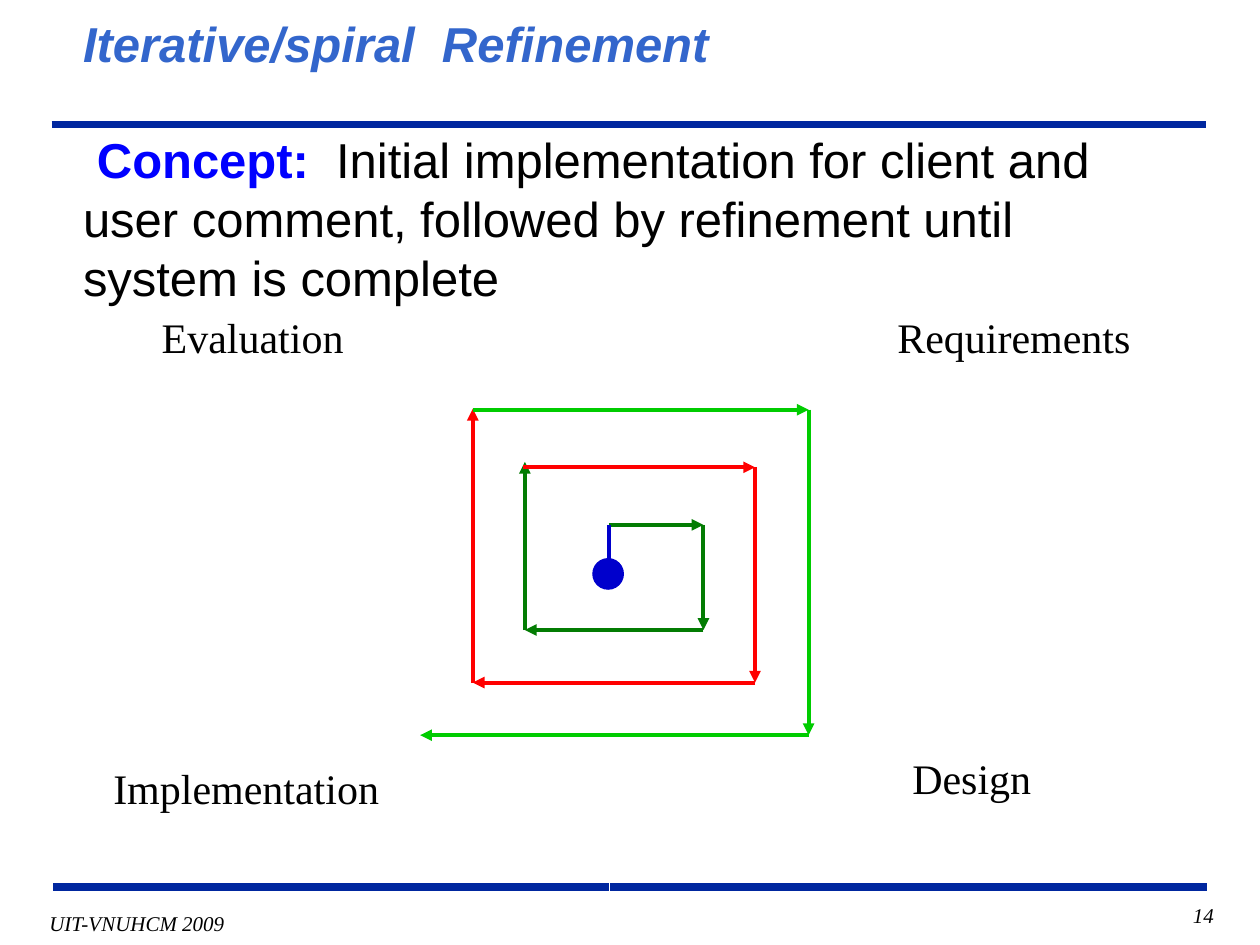
from itertools import pairwise
from typing import NamedTuple

from lxml.etree import SubElement
from pptx import Presentation
from pptx.dml.color import RGBColor
from pptx.enum.shapes import MSO_CONNECTOR, MSO_SHAPE
from pptx.enum.text import MSO_ANCHOR, MSO_AUTO_SIZE, PP_ALIGN
from pptx.oxml.ns import qn
from pptx.util import Cm, Pt

BLACK = RGBColor(0x00, 0x00, 0x00)
WHITE = RGBColor(0xFF, 0xFF, 0xFF)
RULE_BLUE = RGBColor(0x00, 0x27, 0x9F)
TITLE_BLUE = RGBColor(0x33, 0x66, 0xCC)
CONCEPT_BLUE = RGBColor(0x00, 0x00, 0xFF)
START_BLUE = RGBColor(0x00, 0x00, 0xCC)
DARK_GREEN = RGBColor(0x03, 0x7C, 0x03)
RED = RGBColor(0xFF, 0x00, 0x00)
LIGHT_GREEN = RGBColor(0x00, 0xCC, 0x00)

Point = tuple[float, float]


class Label(NamedTuple):
    text: str
    left: float
    top: float
    width: float
    height: float = 1.27
    size: int = 24
    italic: bool = False
    alignment: PP_ALIGN = PP_ALIGN.CENTER


class Turn(NamedTuple):
    """One round of the spiral, drawn as an arrow between each pair of corners."""
    color: RGBColor
    corners: list[Point]


LABELS = [
    Label("Requirements", 17.58, 6.15, 5.72),
    Label("Design", 17.15, 15.04, 4.88),
    Label("Implementation", 1.47, 15.24, 6.99, 2.29),
    Label("Evaluation", 2.34, 6.15, 5.51),
    Label("UIT-VNUHCM 2009", 0.6, 18.24, 4.32, 0.74, 12, True),
    Label("14", 21.54, 18.06, 3.18, 0.84, 12, True, PP_ALIGN.RIGHT),
]

SPIRAL_START = (12.28, 10.58)
TURNS = [
    Turn(DARK_GREEN, [SPIRAL_START, (14.18, 10.58), (14.18, 12.7),
                      (10.58, 12.7), (10.58, 9.31)]),
    Turn(RED, [(10.55, 9.42), (15.22, 9.42), (15.22, 13.76),
               (9.53, 13.76), (9.53, 8.24)]),
    Turn(LIGHT_GREEN, [(9.53, 8.26), (16.3, 8.26), (16.3, 14.82), (8.47, 14.82)]),
]


def add_line(slide, start: Point, end: Point, color: RGBColor,
             weight: float, arrow: bool = False) -> None:
    line = slide.shapes.add_connector(
        MSO_CONNECTOR.STRAIGHT, *map(Cm, start), *map(Cm, end))
    line.line.color.rgb = color
    line.line.width = Pt(weight)
    if arrow:
        SubElement(line.line._get_or_add_ln(), qn("a:tailEnd"), type="triangle")
    SubElement(line._element.spPr, qn("a:effectLst"))


def add_label(slide, label: Label) -> None:
    box = slide.shapes.add_textbox(
        *map(Cm, (label.left, label.top, label.width, label.height)))
    frame = box.text_frame
    frame.word_wrap = True
    frame.text = label.text
    paragraph = frame.paragraphs[0]
    paragraph.alignment = label.alignment
    font = paragraph.runs[0].font
    font.name = "Times New Roman"
    font.size = Pt(label.size)
    font.italic = label.italic
    font.color.rgb = BLACK


def add_title_run(paragraph, text: str, color: RGBColor,
                  bold: bool, italic: bool = False) -> None:
    run = paragraph.add_run()
    run.text = text
    run.font.name = "Arial"
    run.font.size = Pt(28)
    run.font.bold = bold
    run.font.italic = italic
    run.font.color.rgb = color


def fill_title(title) -> None:
    title.left, title.top, title.width, title.height = map(Cm, (1.42, 0, 21.74, 6.3))
    frame = title.text_frame
    frame.auto_size = MSO_AUTO_SIZE.NONE
    frame.word_wrap = True
    frame.vertical_anchor = MSO_ANCHOR.BOTTOM
    heading, concept = frame.paragraphs[0], frame.add_paragraph()
    heading.alignment = concept.alignment = PP_ALIGN.LEFT
    add_title_run(heading, "Iterative/spiral  Refinement", TITLE_BLUE, True, True)
    concept.space_before = Pt(33)
    concept._p.get_or_add_pPr().set("indent", str(Cm(0.28)))
    add_title_run(concept, "Concept:", CONCEPT_BLUE, True)
    add_title_run(concept, "  Initial implementation for client and user comment, "
                  "followed by refinement until system is complete", BLACK, False)


def add_spiral(slide) -> None:
    for turn in TURNS:
        for start, end in pairwise(turn.corners):
            add_line(slide, start, end, turn.color, 2.25, arrow=True)
    dot = slide.shapes.add_shape(
        MSO_SHAPE.OVAL, Cm(11.94), Cm(11.25), Cm(0.64), Cm(0.64))
    dot.shadow.inherit = False
    dot.fill.solid()
    dot.fill.fore_color.rgb = START_BLUE
    dot.line.fill.background()
    add_line(slide, (12.28, 11.43), SPIRAL_START, START_BLUE, 2.25)


def main() -> None:
    presentation = Presentation()
    presentation.slide_width, presentation.slide_height = Cm(25.4), Cm(19.05)
    slide = presentation.slides.add_slide(presentation.slide_layouts[5])
    fill_title(slide.shapes.title)
    add_line(slide, (1.04, 2.51), (24.31, 2.51), RULE_BLUE, 4.5)
    add_line(slide, (1.07, 17.88), (24.33, 17.88), RULE_BLUE, 4.5)
    # Quadrant axes
    add_line(slide, (12.28, 6.15), (12.28, 18.42), WHITE, 0.75)
    add_line(slide, (5.08, 11.63), (19.69, 11.63), WHITE, 0.75)
    for label in LABELS:
        add_label(slide, label)
    add_spiral(slide)
    presentation.save("out.pptx")


if __name__ == "__main__":
    main()
